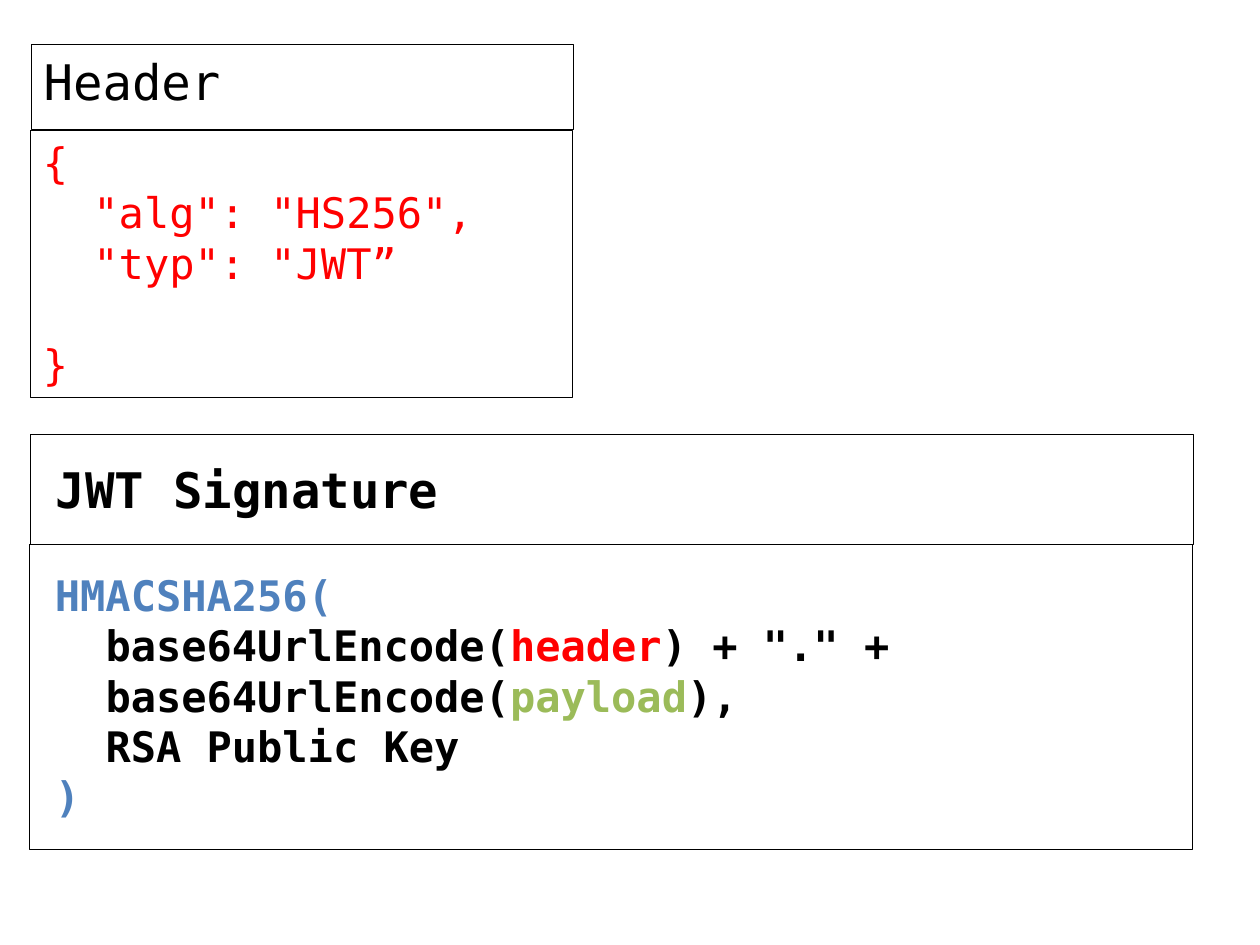
from pptx import Presentation
from pptx.dml.color import RGBColor
from pptx.enum import text
from pptx.util import Pt

COLORS = {
    "black": "000000",
    "red": "FF0000",
    "blue": "4F81BD",
    "green": "9BBB59",
}
FONT = "DejaVu Sans Mono"
TITLE, CODE = 28, 24
INDENT = 28.9  # two monospaced characters at code size
LINE = 28.9    # one line of code


def color(name):
    return RGBColor.from_string(COLORS[name])


def add_text(p, content, size=CODE, fill="black", bold=False):
    r = p.add_run()
    r.text = content
    r.font.name = FONT
    r.font.size = Pt(size)
    r.font.bold = bold
    r.font.color.rgb = color(fill)


def add_panel(s, left, top, width, height, lines, inset=None, **fmt):
    """Draw an outlined box; each line is (indented, runs, space after)."""
    sp = s.shapes.add_textbox(Pt(left), Pt(top), Pt(width), Pt(height))
    sp.line.color.rgb = color("black")
    sp.line.width = Pt(0.75)
    tf = sp.text_frame
    tf.word_wrap = True
    tf.auto_size = text.MSO_AUTO_SIZE.SHAPE_TO_FIT_TEXT
    if inset:
        tf.margin_left = tf.margin_right = Pt(inset)
        tf.margin_top = tf.margin_bottom = Pt(inset)
    for i, (indented, runs, after) in enumerate(lines):
        p = tf.add_paragraph() if i else tf.paragraphs[0]
        if indented:
            p._p.get_or_add_pPr().set("marL", str(Pt(INDENT)))
        if after:
            p.space_after = Pt(after)
        for content, fill in runs:
            add_text(p, content, fill=fill, **fmt)


def line(*runs, indented=False, after=0):
    return indented, runs, after


def main():
    prs = Presentation()
    prs.slide_width, prs.slide_height = Pt(720), Pt(540)
    s = prs.slides.add_slide(prs.slide_layouts[6])

    # Token header
    add_panel(s, 17.9, 25.6, 309.8, 48.6, [line(("Header", "black"))], size=TITLE)
    add_panel(s, 17.4, 74.4, 309.8, 152.6, [
        line(("{", "red")),
        line(('"alg": "HS256",', "red"), indented=True),
        line(('"typ": "JWT”', "red"), indented=True, after=LINE),
        line(("}", "red")),
    ])

    # Signature
    add_panel(s, 17, 311, 664.6, 174.6, [
        line(("HMACSHA256(", "blue")),
        line(("base64UrlEncode(", "black"), ("header", "red"),
             (') + "." +', "black"), indented=True),
        line(("base64UrlEncode(", "black"), ("payload", "green"),
             ("),", "black"), indented=True),
        line(("RSA Public Key", "black"), indented=True),
        line((")", "blue")),
    ], inset=14.4, bold=True)
    add_panel(s, 17.4, 248.2, 664.6, 63, [line(("JWT Signature", "black"))],
              inset=14.4, size=TITLE, bold=True)

    prs.save("out.pptx")


if __name__ == "__main__":
    main()
